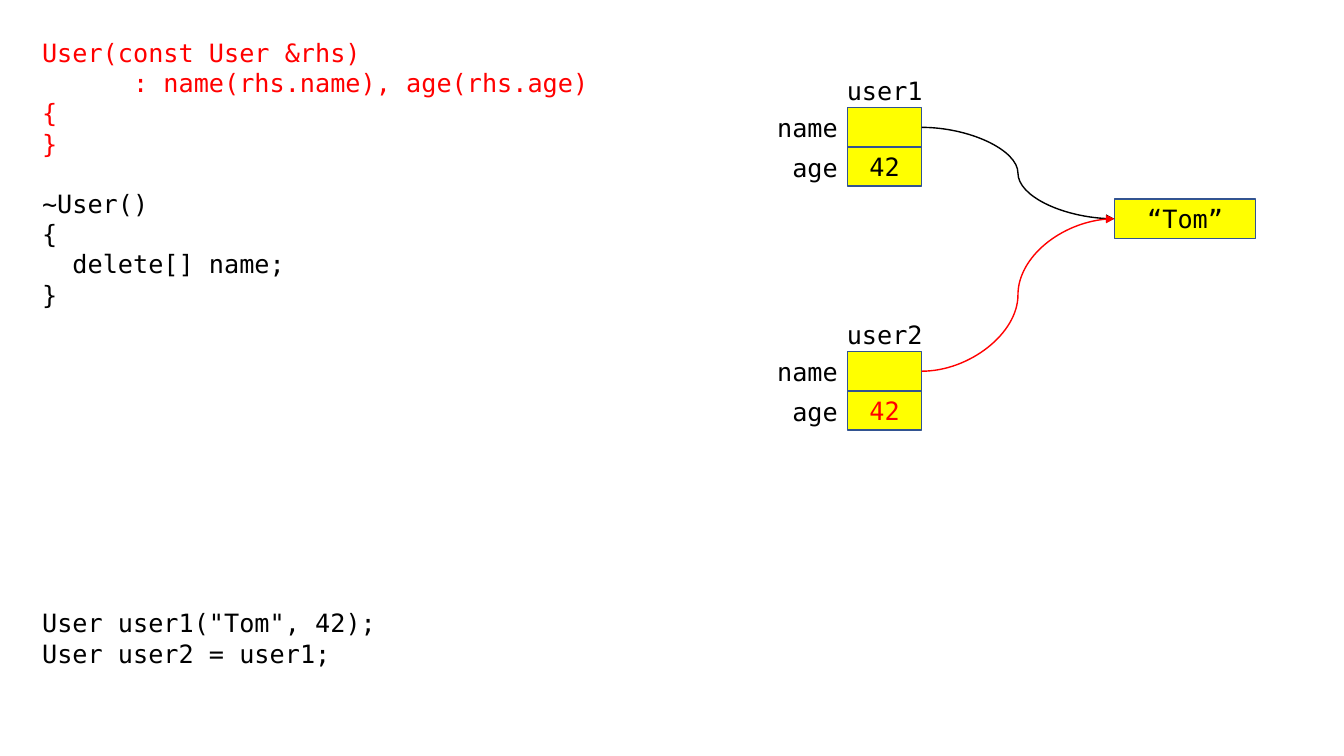
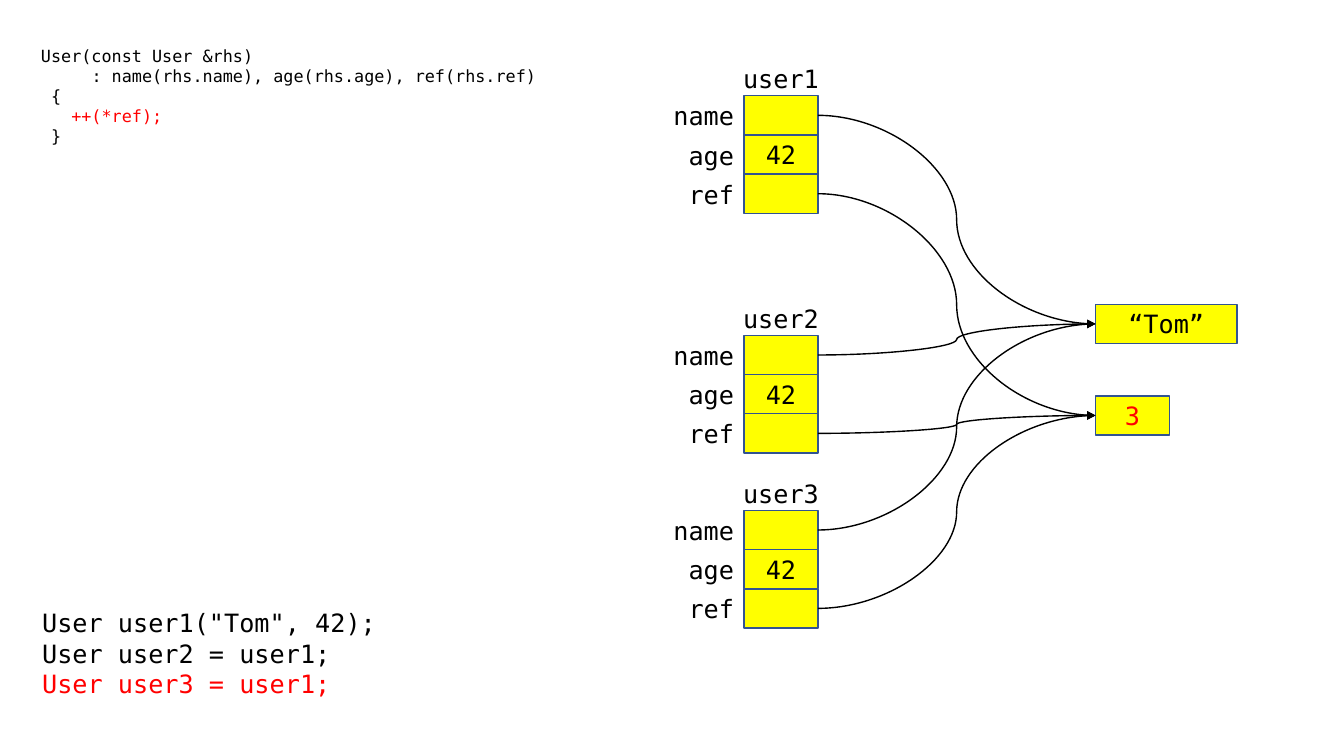
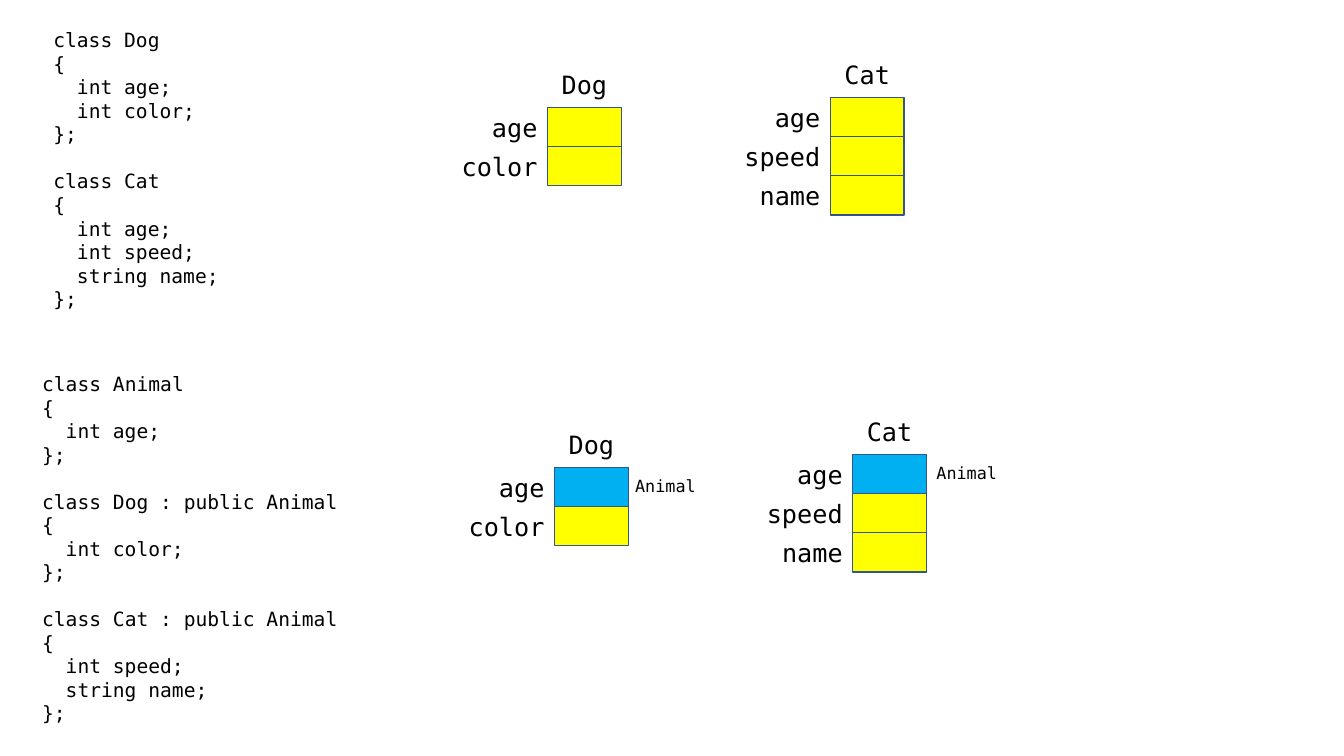
from dataclasses import dataclass

from lxml.etree import SubElement
from pptx import Presentation
from pptx.dml.color import RGBColor
from pptx.enum.shapes import MSO_CONNECTOR as Connector, MSO_SHAPE as ShapeKind
from pptx.enum.text import MSO_ANCHOR as Anchor, MSO_AUTO_SIZE as AutoSize, PP_ALIGN as Align
from pptx.oxml.ns import qn
from pptx.shapes.autoshape import Shape
from pptx.slide import Slide
from pptx.text.text import _Paragraph as Paragraph
from pptx.util import Pt


@dataclass(frozen=True)
class Theme:
    font: str = "DejaVu Sans Mono"
    ink: str = "000000"
    accent: str = "FF0000"
    cell: str = "FFFF00"
    base_cell: str = "00B0F0"
    outline: str = "325491"
    large: float = 18
    medium: float = 14
    small: float = 12
    line_height: float = 1.2
    character_width: float = 0.602
    line_width: float = 1


THEME = Theme()
ROW_HEIGHT = 28
CELL_WIDTH = 52.8
TEXT_WIDTH = 101
LABEL_WIDTH = 80.6
TITLE_WIDTH = 96
NOTE_WIDTH = 75.6
INSET = 3.6


@dataclass(frozen=True)
class Code:
    left: float
    top: float
    width: float
    text: str
    size: float = THEME.large
    highlighted: tuple[int, ...] = ()


@dataclass(frozen=True)
class Field:
    label: str
    value: str = ""
    color: str = THEME.ink
    fill: str = THEME.cell
    note: str = ""


@dataclass(frozen=True)
class Record:
    title: str
    left: float
    top: float
    fields: tuple[Field, ...]
    title_rise: float = 26.6
    note_gap: float = 0


def add_text(paragraph: Paragraph, text: str, size: float, color: str) -> None:
    run = paragraph.add_run()
    run.text = text
    run.font.name = THEME.font
    run.font.size = Pt(size)
    run.font.color.rgb = RGBColor.from_string(color)


def add_box(slide: Slide, left: float, top: float, width: float, lines: int, size: float) -> Shape:
    height = lines * size * THEME.line_height + 2 * INSET
    box = slide.shapes.add_textbox(Pt(left), Pt(top), Pt(width), Pt(height))
    box.text_frame.word_wrap = True
    box.text_frame.auto_size = AutoSize.SHAPE_TO_FIT_TEXT
    return box


def add_label(slide: Slide, text: str, left: float, top: float, width: float,
              alignment: Align, size: float = THEME.large) -> None:
    paragraph = add_box(slide, left, top, width, 1, size).text_frame.paragraphs[0]
    paragraph.alignment = alignment
    add_text(paragraph, text, size, THEME.ink)


def add_code(slide: Slide, code: Code) -> None:
    lines = code.text.split("\n")
    frame = add_box(slide, code.left, code.top, code.width, len(lines), code.size).text_frame
    for index, line in enumerate(lines):
        statement = line.lstrip()
        if not statement:
            continue
        paragraph = frame.add_paragraph() if index else frame.paragraphs[0]
        if index and not lines[index - 1]:
            paragraph.space_before = Pt(code.size * THEME.line_height)
        indent = (len(line) - len(statement)) * code.size * THEME.character_width
        properties = paragraph._p.get_or_add_pPr()
        properties.set("marL", str(Pt(indent)))
        properties.set("indent", "0")
        color = THEME.accent if index in code.highlighted else THEME.ink
        add_text(paragraph, statement, code.size, color)


def add_cell(slide: Slide, left: float, top: float, width: float = CELL_WIDTH, text: str = "",
             color: str = THEME.ink, fill: str = THEME.cell) -> Shape:
    cell = slide.shapes.add_shape(
        ShapeKind.RECTANGLE, Pt(left), Pt(top), Pt(width), Pt(ROW_HEIGHT))
    cell.shadow.inherit = False
    cell.fill.solid()
    cell.fill.fore_color.rgb = RGBColor.from_string(fill)
    cell.line.color.rgb = RGBColor.from_string(THEME.outline)
    cell.line.width = Pt(THEME.line_width)
    if text:
        cell.text_frame.vertical_anchor = Anchor.MIDDLE
        paragraph = cell.text_frame.paragraphs[0]
        paragraph.alignment = Align.CENTER
        add_text(paragraph, text, THEME.large, color)
    return cell


def add_record(slide: Slide, record: Record) -> dict[str, Shape]:
    title_left = record.left + (CELL_WIDTH - TITLE_WIDTH) / 2
    add_label(slide, record.title, title_left, record.top - record.title_rise,
              TITLE_WIDTH, Align.CENTER)
    cells = {}
    for row, field in enumerate(record.fields):
        top = record.top + row * ROW_HEIGHT
        cells[field.label] = add_cell(
            slide, record.left, top, text=field.value, color=field.color, fill=field.fill)
        add_label(slide, field.label, record.left - LABEL_WIDTH, top, LABEL_WIDTH, Align.RIGHT)
        if field.note:
            add_label(slide, field.note, record.left + CELL_WIDTH + record.note_gap, top + 2.5,
                      NOTE_WIDTH, Align.LEFT, THEME.small)
    return cells


def add_pointer(slide: Slide, source: Shape, target: Shape, color: str = THEME.ink) -> None:
    pointer = slide.shapes.add_connector(Connector.CURVE, 0, 0, 0, 0)
    pointer.begin_connect(source, 3)
    pointer.end_connect(target, 1)
    pointer.line.color.rgb = RGBColor.from_string(color)
    pointer.line.width = Pt(THEME.line_width)
    SubElement(pointer.line._get_or_add_ln(), qn("a:tailEnd"), type="triangle")
    SubElement(pointer._element.spPr, qn("a:effectLst"))


def build_shallow_copy(slide: Slide) -> None:
    add_code(slide, Code(23, 23, 427.7, """User(const User &rhs)
      : name(rhs.name), age(rhs.age)
{
}

~User()
{
  delete[] name;
}""", highlighted=(0, 1, 2, 3)))
    add_code(slide, Code(23, 430.6, 480, """User user1("Tom", 42);
User user2 = user1;"""))
    name_text = add_cell(slide, 796, 142.3, TEXT_WIDTH, "“Tom”")
    for title, top, color in (("user1", 77, THEME.ink), ("user2", 251.2, THEME.accent)):
        fields = (Field("name"), Field("age", "42", color))
        cells = add_record(slide, Record(title, 605.5, top, fields))
        add_pointer(slide, cells["name"], name_text, color)


def build_reference_count(slide: Slide) -> None:
    add_code(slide, Code(23, 430.6, 480, """User user1("Tom", 42);
User user2 = user1;
User user3 = user1;""", highlighted=(2,)))
    add_code(slide, Code(15, 28.8, 405.4, """ User(const User &rhs)
      : name(rhs.name), age(rhs.age), ref(rhs.ref)
  {
    ++(*ref);
  }""", THEME.small, (3,)))
    name_text = add_cell(slide, 782.5, 217.4, TEXT_WIDTH, "“Tom”")
    counter = add_cell(slide, 782.5, 282.8, text="3", color=THEME.accent)
    fields = (Field("name"), Field("age", "42"), Field("ref"))
    for title, top in (("user1", 68.4), ("user2", 239.6), ("user3", 364.6)):
        cells = add_record(slide, Record(title, 531.4, top, fields))
        add_pointer(slide, cells["name"], name_text)
        add_pointer(slide, cells["ref"], counter)


def build_inheritance(slide: Slide) -> None:
    add_code(slide, Code(31, 16.6, 226.8, """class Dog
{
  int age;
  int color;
};

class Cat
{
  int age;
  int speed;
  string name;
};""", THEME.medium))
    add_code(slide, Code(23, 262.1, 275, """class Animal
{
  int age;
};

class Dog : public Animal
{
  int color;
};

class Cat : public Animal
{
  int speed;
  string name;
};""", THEME.medium))
    own_age = Field("age")
    inherited_age = Field("age", fill=THEME.base_cell, note="Animal")
    dog_fields = (Field("color"),)
    cat_fields = (Field("speed"), Field("name"))
    records = (
        Record("Dog", 391, 76.7, (own_age, *dog_fields), 31),
        Record("Cat", 593, 69.6, (own_age, *cat_fields), 31),
        Record("Dog", 396, 333.8, (inherited_age, *dog_fields), 31, -2.2),
        Record("Cat", 609, 324.5, (inherited_age, *cat_fields), 31),
    )
    for record in records:
        add_record(slide, record)


def main() -> None:
    presentation = Presentation()
    presentation.slide_width = Pt(960)
    presentation.slide_height = Pt(540)
    blank = presentation.slide_layouts[6]
    for build in (build_shallow_copy, build_reference_count, build_inheritance):
        build(presentation.slides.add_slide(blank))
    presentation.save("out.pptx")


main()
